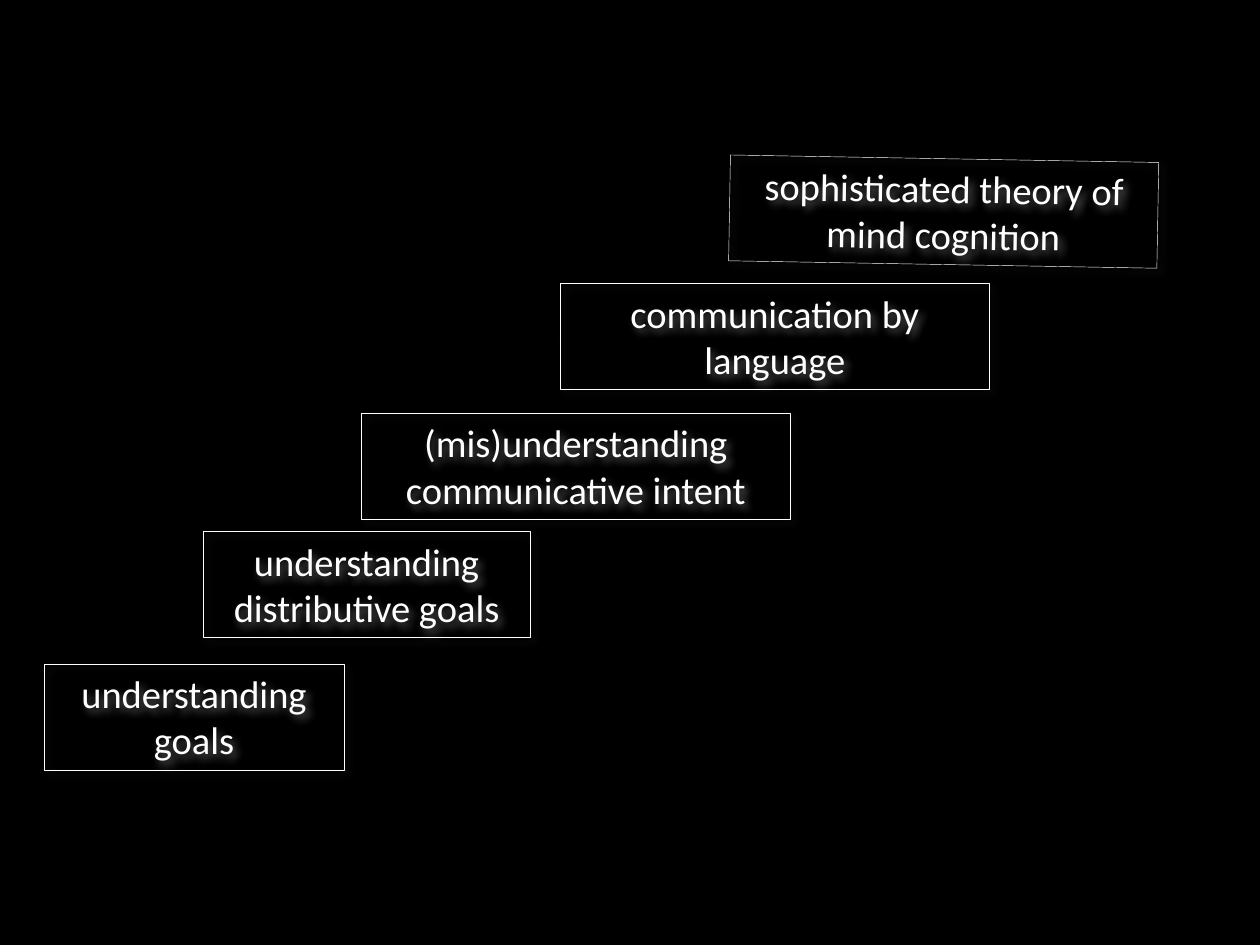
from lxml import etree
from pptx import Presentation
from pptx.dml.color import RGBColor
from pptx.enum.shapes import MSO_SHAPE as Shape
from pptx.enum.text import MSO_ANCHOR as Anchor, MSO_AUTO_SIZE as AutoSize, PP_ALIGN as Align
from pptx.oxml import parse_xml
from pptx.oxml.ns import nsdecls, qn
from pptx.util import Inches, Pt

BLACK = RGBColor(0x00, 0x00, 0x00)
WHITE = RGBColor(0xFF, 0xFF, 0xFF)
GRAY = RGBColor(0x80, 0x80, 0x80)

STEP_HEIGHT = 0.84
# text, left, top, width, rotation
STEPS = [
    ("understanding goals", 0.35, 5.27, 2.38, 0),
    ("understanding distributive goals", 1.61, 4.22, 2.6, 0),
    ("(mis)understanding communicative intent", 2.87, 3.28, 3.4, 0),
    ("communication by language", 4.45, 2.25, 3.4, 0),
    ("sophisticated theory of mind cognition", 5.79, 1.26, 3.4, 1),
]


def add_shadow(shape):
    """Give the shape a soft gray shadow toward the lower right."""
    shape.shadow.inherit = False
    effects = shape._element.spPr.find(qn("a:effectLst"))
    effects.append(parse_xml(
        f'<a:outerShdw {nsdecls("a")} blurRad="{Pt(5)}" dist="{Pt(3)}" '
        f'dir="{45 * 60000}" algn="ctr" rotWithShape="0">'
        f'<a:srgbClr val="{GRAY}"><a:alpha val="75000"/></a:srgbClr>'
        '</a:outerShdw>'))


prs = Presentation()
prs.slide_width, prs.slide_height = Inches(10), Inches(7.5)
slide = prs.slides.add_slide(prs.slide_layouts[6])
slide.background.fill.solid()
slide.background.fill.fore_color.rgb = BLACK

for text, left, top, width, rotation in STEPS:
    step = slide.shapes.add_shape(Shape.RECTANGLE, Inches(left), Inches(top),
                                  Inches(width), Inches(STEP_HEIGHT))
    step.rotation = rotation
    step.fill.background()
    step.line.color.rgb = WHITE
    step.line.width = Pt(0.25)
    add_shadow(step)

    frame = step.text_frame
    frame.word_wrap = True
    frame.auto_size = AutoSize.SHAPE_TO_FIT_TEXT
    frame.vertical_anchor = Anchor.TOP
    paragraph = frame.paragraphs[0]
    paragraph.alignment = Align.CENTER
    space_before = etree.SubElement(paragraph._p.get_or_add_pPr(), qn("a:spcBef"))
    etree.SubElement(space_before, qn("a:spcPct"), val="50000")
    run = paragraph.add_run()
    run.text = text
    run.font.name = "Calibri"
    run.font.size = Pt(22)
    run.font.color.rgb = WHITE

prs.save("out.pptx")
